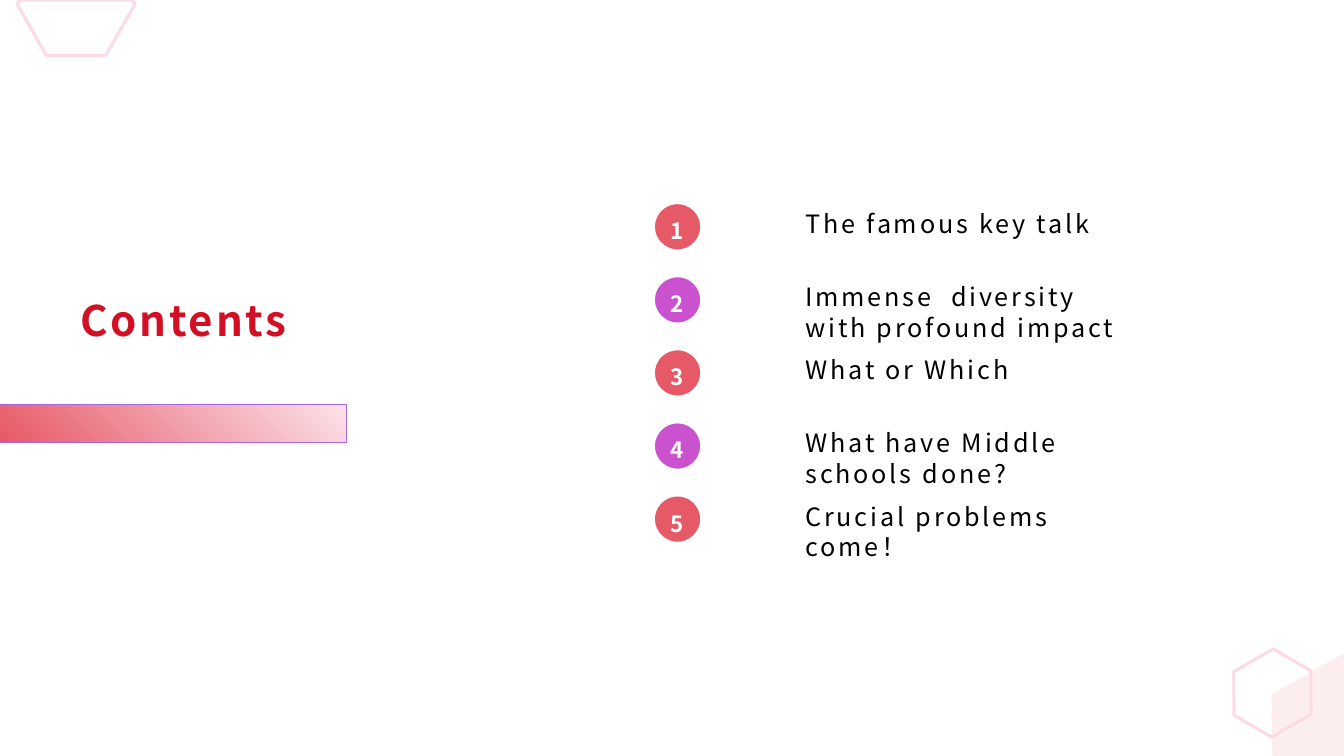
from lxml import etree
from pptx import Presentation
from pptx.dml.color import RGBColor
from pptx.enum.shapes import MSO_SHAPE
from pptx.enum.text import MSO_ANCHOR, MSO_AUTO_SIZE, PP_ALIGN
from pptx.oxml import parse_xml
from pptx.oxml.ns import nsdecls, qn
from pptx.util import Inches, Pt

HEXAGON, OVAL, RECTANGLE = MSO_SHAPE.HEXAGON, MSO_SHAPE.OVAL, MSO_SHAPE.RECTANGLE
MIDDLE, TOP = MSO_ANCHOR.MIDDLE, MSO_ANCHOR.TOP
CENTER, LEFT = PP_ALIGN.CENTER, PP_ALIGN.LEFT
NO_AUTOFIT = MSO_AUTO_SIZE.NONE
FONT = "Noto Sans CJK SC"
CORAL, ORCHID, PALE_PINK, WHITE = "E65966", "CA52CE", "FBDBE5", "FFFFFF"
TOPICS = [
    "The famous key talk",
    "Immense  diversity with profound impact",
    "What or Which",
    "What have Middle schools done?",
    "Crucial problems come！",
]


def rgb(value):
    return RGBColor.from_string(value)


def style_shape(shape, fill=None, line=None, width=2.25):
    shape.shadow.inherit = False
    if fill:
        shape.fill.solid()
        shape.fill.fore_color.rgb = rgb(fill)
    else:
        shape.fill.background()
    if line:
        shape.line.color.rgb = rgb(line)
        shape.line.width = Pt(width)
    else:
        shape.line.fill.background()


def add_preset(slide, kind, box):
    return slide.shapes.add_shape(kind, *(Inches(length) for length in box))


def add_polygon(slide, left, top, points):
    corners = [(Inches(left + x), Inches(top + y)) for x, y in points]
    builder = slide.shapes.build_freeform(*corners[0])
    builder.add_line_segments(corners[1:], close=True)
    return builder.convert_to_shape()


def write_text(shape, text, size, color, bold=False, align=LEFT, anchor=TOP, spacing=1.0):
    frame = shape.text_frame
    frame.word_wrap = True
    frame.auto_size = NO_AUTOFIT
    frame.vertical_anchor = anchor
    frame.margin_left = frame.margin_right = Inches(0.1)
    frame.margin_top = frame.margin_bottom = Inches(0.05)
    paragraph = frame.paragraphs[0]
    paragraph.alignment = align
    paragraph.line_spacing = spacing
    run = paragraph.add_run()
    run.text = text
    font = run.font
    font.name, font.size, font.bold = FONT, Pt(size), bold
    font.color.rgb = rgb(color)
    properties = run._r.get_or_add_rPr()
    properties.set("spc", "200")
    etree.SubElement(properties, qn("a:ea")).set("typeface", FONT)


def add_corner_hexagons(slide, left, top):
    """Outlined hexagon and tinted block, bottom right."""
    hexagon = add_preset(slide, HEXAGON, (left, top, 0.88, 0.75))
    hexagon.adjustments[0] = 0.286
    hexagon.rotation = 330
    style_shape(hexagon, line=PALE_PINK)

    block = add_polygon(slide, left, top,
                        [(0.43, 0.39), (1.15, -0.02), (1.15, 1), (0.44, 1)])
    style_shape(block, fill="FADEE0")
    color = block.fill._xPr.find(qn("a:solidFill"))[0]
    etree.SubElement(color, qn("a:alpha")).set("val", "53000")


def add_top_hexagon(slide, left, top):
    """Hexagon cut by the top edge."""
    outline = add_polygon(slide, left, top, [
        (0.03, 0), (1.14, 0), (1.17, 0.04), (0.88, 0.55), (0.29, 0.55), (0, 0.04)])
    style_shape(outline, line=PALE_PINK)


def add_heading(slide, left, top):
    """Title and the gradient bar below it."""
    title = slide.shapes.title
    title.left, title.top = Inches(left + 0.62), Inches(top)
    title.width, title.height = Inches(2.4), Inches(1.48)
    write_text(title, "Contents", 30, "D10F25", True, CENTER, MIDDLE, 1.3)

    bar = add_preset(slide, RECTANGLE, (left, top + 1.65, 3.44, 0.38))
    style_shape(bar, fill=CORAL, line="A665EB", width=0.75)
    solid = bar._element.spPr.find(qn("a:solidFill"))
    gradient = parse_xml(
        f'<a:gradFill {nsdecls("a")} rotWithShape="1"><a:gsLst>'
        f'<a:gs pos="0"><a:srgbClr val="{CORAL}"/></a:gs>'
        '<a:gs pos="100000"><a:srgbClr val="FCE2EA"/></a:gs></a:gsLst>'
        '<a:path path="circle"><a:fillToRect t="100000" r="100000"/></a:path>'
        '</a:gradFill>')
    solid.getparent().replace(solid, gradient)


def add_topics(slide, left, top, pitch):
    """Numbered circles with their topics."""
    for index, topic in enumerate(TOPICS):
        row_top = top + index * pitch
        circle = add_preset(slide, OVAL, (left, row_top, 0.48, 0.48))
        style_shape(circle, fill=ORCHID if index % 2 else CORAL, line=WHITE)
        write_text(circle, str(index + 1), 16, WHITE, True, CENTER, MIDDLE, 1.3)

        label = slide.shapes.add_textbox(
            Inches(left + 1.41), Inches(row_top + 0.01), Inches(3.53), Inches(0.67))
        write_text(label, topic, 18, "000000")


def main():
    presentation = Presentation()
    presentation.slide_width, presentation.slide_height = Inches(13.33), Inches(7.5)
    slide = presentation.slides.add_slide(presentation.slide_layouts[5])
    add_corner_hexagons(slide, 12.18, 6.5)
    add_top_hexagon(slide, 0.17, 0)
    add_heading(slide, 0, 2.36)
    add_topics(slide, 6.48, 2.01, 0.725)
    presentation.save("out.pptx")


if __name__ == "__main__":
    main()
